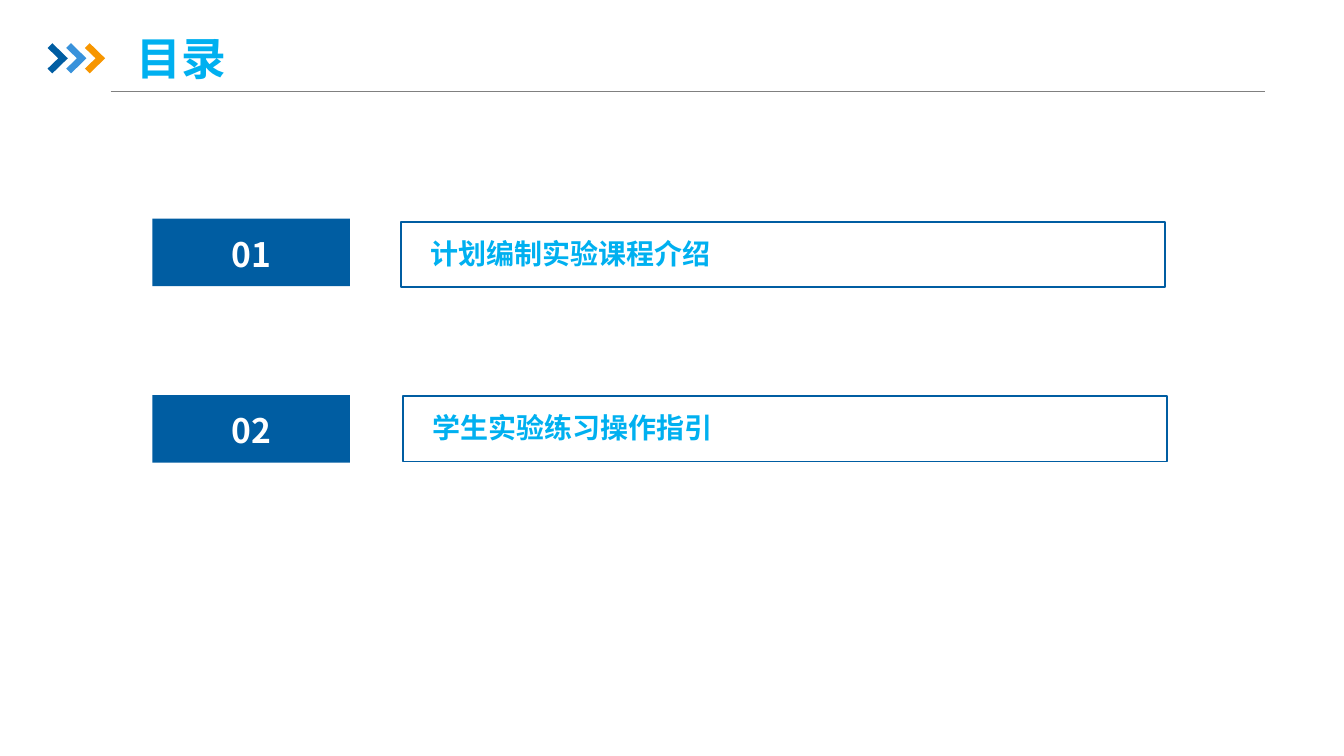
from dataclasses import dataclass

from lxml import etree
from pptx import Presentation
from pptx import util as u
from pptx.dml.color import RGBColor
from pptx.enum import shapes, text
from pptx.oxml.ns import qn
from pptx.shapes.autoshape import Shape
from pptx.slide import Slide

FONT = "Noto Sans CJK SC"
COLORS = {
    "navy": "005DA2",
    "blue": "3992DB",
    "orange": "F79600",
    "cyan": "00B0F0",
    "grey": "808080",
    "white": "FFFFFF",
}
# Chevron outline, in centimetres from its top left corner
CHEVRON = [(0, 0.12), (0.12, 0), (0.51, 0.38), (0.12, 0.76), (0, 0.64), (0.27, 0.38)]


@dataclass
class Entry:
    number: str
    title: str
    badge_top: float
    frame_left: float
    frame_top: float


ENTRIES = [
    Entry("01", "计划编制实验课程介绍", 5.51, 10.11, 5.59),
    Entry("02", "学生实验练习操作指引", 9.96, 10.16, 9.98),
]


def color(name: str) -> RGBColor:
    return RGBColor.from_string(COLORS[name])


def box(left: float, top: float, width: float, height: float) -> list[u.Cm]:
    return [u.Cm(length) for length in (left, top, width, height)]


def write(shape: Shape, content: str, *, size: float, fill: str,
          align: text.PP_ALIGN = text.PP_ALIGN.LEFT,
          anchor: text.MSO_ANCHOR = text.MSO_ANCHOR.TOP) -> None:
    frame = shape.text_frame
    frame.word_wrap = True
    frame.auto_size = text.MSO_AUTO_SIZE.NONE
    frame.vertical_anchor = anchor
    paragraph = frame.paragraphs[0]
    paragraph.alignment = align
    run = paragraph.add_run()
    run.text = content
    run.font.size = u.Pt(size)
    run.font.bold = True
    run.font.color.rgb = color(fill)
    run.font.name = FONT
    # East Asian typeface
    etree.SubElement(run.font._element, qn("a:ea"), typeface=FONT)


def paint(shape: Shape, *, fill: str | None = None, line: str | None = None) -> None:
    shape.shadow.inherit = False
    if fill:
        shape.fill.solid()
        shape.fill.fore_color.rgb = color(fill)
    else:
        shape.fill.background()
    if line:
        shape.line.color.rgb = color(line)
        shape.line.width = u.Pt(1.25)
    else:
        shape.line.fill.background()


def draw_chevron(slide: Slide, left: float, top: float, fill: str) -> None:
    points = [(u.Cm(left + x), u.Cm(top + y)) for x, y in CHEVRON]
    builder = slide.shapes.build_freeform(*points[0], scale=1.0)
    builder.add_line_segments(points[1:], close=True)
    paint(builder.convert_to_shape(), fill=fill)


def draw_header(slide: Slide) -> None:
    rule = slide.shapes.add_connector(
        shapes.MSO_CONNECTOR.STRAIGHT, u.Cm(2.79), u.Cm(2.31), u.Cm(31.88), u.Cm(2.31))
    rule.line.color.rgb = color("grey")
    rule.line.width = u.Pt(0.75)
    etree.SubElement(rule._element.spPr, qn("a:effectLst"))
    for index, fill in enumerate(("navy", "blue", "orange")):
        draw_chevron(slide, 1.2 + 0.47 * index, 1.09, fill)

    title = slide.shapes.title
    title.left, title.top, title.width, title.height = box(3.18, 0.74, 14.02, 1.4)
    write(title, "目录", size=32, fill="cyan", anchor=text.MSO_ANCHOR.MIDDLE)


def draw_entry(slide: Slide, entry: Entry) -> None:
    # Number badge
    badge = slide.shapes.add_shape(
        shapes.MSO_SHAPE.RECTANGLE, *box(3.84, entry.badge_top, 4.98, 1.7))
    paint(badge, fill="navy")
    number = slide.shapes.add_textbox(*box(3.96, entry.badge_top + 0.25, 4.75, 1.27))
    write(number, entry.number, size=24, fill="white", align=text.PP_ALIGN.CENTER)

    # Framed title
    label = slide.shapes.add_textbox(
        *box(entry.frame_left + 0.48, entry.frame_top + 0.24, 17.3, 1.12))
    write(label, entry.title, size=20, fill="cyan")
    frame = slide.shapes.add_shape(
        shapes.MSO_SHAPE.RECTANGLE, *box(entry.frame_left, entry.frame_top, 19.25, 1.65))
    paint(frame, line="navy")


def main() -> None:
    presentation = Presentation()
    presentation.slide_width = u.Cm(33.87)
    presentation.slide_height = u.Cm(19.05)
    slide = presentation.slides.add_slide(presentation.slide_layouts.get_by_name("Title Only"))
    draw_header(slide)
    for entry in ENTRIES:
        draw_entry(slide, entry)
    presentation.save("out.pptx")


if __name__ == "__main__":
    main()
